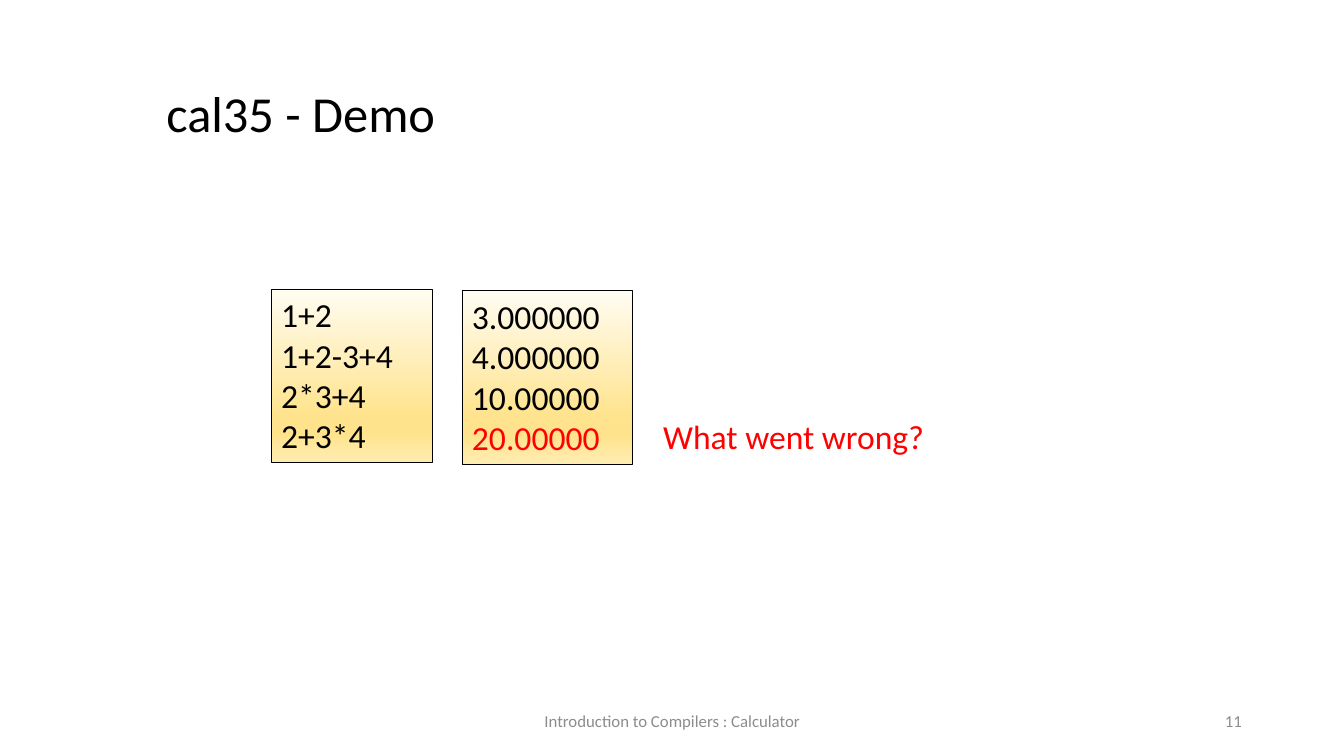
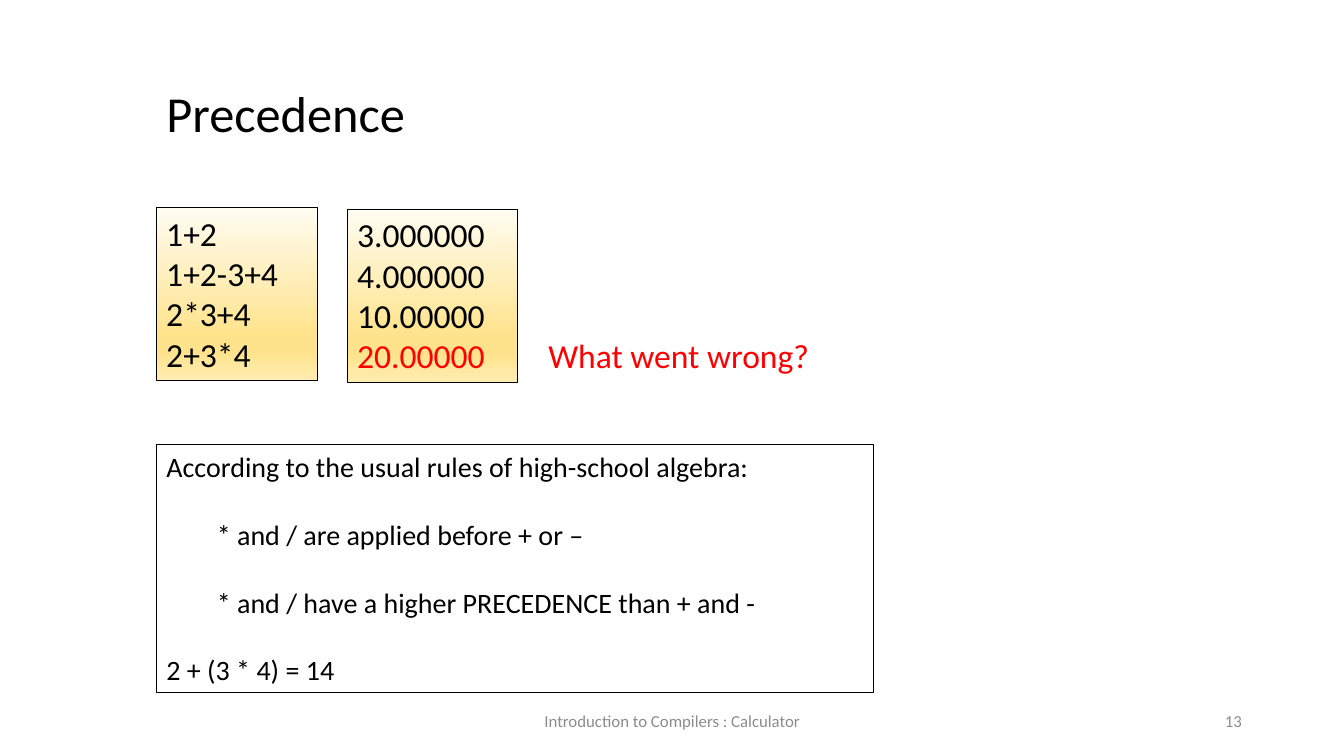
import pptx
import pptx.dml.color
import pptx.enum.shapes
import pptx.enum.text
import pptx.oxml
import pptx.oxml.ns
import pptx.util

BLACK, RED, GREY = "000000", "FF0000", "8C8C8C"
AMBER_STOPS = [(0, "FFFCF2"), (74, "FFE38C"), (83, "FFE38C"), (100, "FFECB2")]
ALIGN = pptx.enum.text.PP_ALIGN
ANCHOR = pptx.enum.text.MSO_ANCHOR

deck = pptx.Presentation()
deck.slide_width = pptx.util.Inches(13.33)
deck.slide_height = pptx.util.Inches(7.5)
# The grid has 100 columns and 100 rows.
COLUMN, ROW = deck.slide_width / 100, deck.slide_height / 100
MARGIN = 11.63


def rgb(code):
    """Turn a hex string into a colour."""
    return pptx.dml.color.RGBColor.from_string(code)


def write(shape, cells, text, size, color=BLACK, align=ALIGN.LEFT, anchor=ANCHOR.TOP):
    """Place a shape on the grid and fill it with formatted paragraphs."""
    left, top, width, height = cells
    shape.left, shape.width = int(left * COLUMN), int(width * COLUMN)
    shape.top, shape.height = int(top * ROW), int(height * ROW)
    frame = shape.text_frame
    frame.text = text
    frame.word_wrap = True
    frame.auto_size = pptx.enum.text.MSO_AUTO_SIZE.NONE
    frame.vertical_anchor = anchor
    for paragraph in frame.paragraphs:
        paragraph.alignment = align
        for run in paragraph.runs:
            run.font.name = "Calibri"
            run.font.size = pptx.util.Pt(size)
            run.font.color.rgb = rgb(color)
    return frame.paragraphs


EXPRESSIONS = "1+2\n1+2-3+4\n2*3+4\n2+3*4"
RESULTS = "3.000000\n4.000000\n10.00000\n20.00000"
RULES = [
    ("According to the usual rules of high-school algebra:", 0),
    ("* and / are applied before + or –", 0.5),
    ("* and / have a higher PRECEDENCE than + and -", 0.5),
    ("2 + (3 * 4) = 14", 0),
]
# Layout, title, page number, left and top of the demo, rules
PAGES = [
    ("Title Only", "cal35 - Demo", "11", 20.18, 38.27, []),
    ("Title and Content", "Precedence", "13", MARGIN, 27.47, RULES),
]

for layout, title, number, demo_left, demo_top, rules in PAGES:
    slide = deck.slides.add_slide(deck.slide_layouts.get_by_name(layout))
    shapes = slide.shapes
    write(shapes.title, (MARGIN, 10.13, 80.48, 9.47), title, 36)

    for cells, footer, align in [
        ((33.15, 92.67, 33.75, 5.33), "Introduction to Compilers : Calculator", ALIGN.CENTER),
        ((70.65, 92.67, 22.5, 5.33), number, ALIGN.RIGHT),
    ]:
        write(shapes.add_textbox(0, 0, 0, 0), cells, footer, 12, GREY, align, ANCHOR.MIDDLE)

    if rules:
        algebra = slide.placeholders[1]
        algebra.line.color.rgb = rgb(BLACK)
        algebra.line.width = pptx.util.Pt(0.75)
        lines = write(algebra, (MARGIN, 58.8, 53.4, 32.8),
                      "\n".join(rule for rule, indent in rules), 20)
        for position, (line, (rule, indent)) in enumerate(zip(lines, rules)):
            line.space_before = pptx.util.Pt(24.4 if position else 0)
            properties = line._p.get_or_add_pPr()
            properties.set("marL", str(pptx.util.Inches(indent)))
            properties.set("indent", "0")
            pptx.oxml.ns.qn("a:buNone")
            properties.append(pptx.oxml.parse_xml(
                '<a:buNone xmlns:a="http://schemas.openxmlformats.org/drawingml/2006/main"/>'))

    for shift, drop, width, listing in [(0, 0, 12, EXPRESSIONS), (14.2, 0.2, 12.68, RESULTS)]:
        panel = shapes.add_shape(pptx.enum.shapes.MSO_SHAPE.RECTANGLE, 0, 0, 0, 0)
        panel.shadow.inherit = False
        panel.line.color.rgb = rgb(BLACK)
        panel.line.width = pptx.util.Pt(0.75)
        panel.fill.gradient()
        panel.fill.gradient_angle = 270
        stops = panel._element.spPr.find(".//" + pptx.oxml.ns.qn("a:gsLst"))
        stops.clear()
        for percent, color in AMBER_STOPS:
            stops.append(pptx.oxml.parse_xml(
                '<a:gs xmlns:a="http://schemas.openxmlformats.org/drawingml/2006/main" '
                f'pos="{percent * 1000}"><a:srgbClr val="{color}"/></a:gs>'))
        rows = write(panel, (demo_left + shift, demo_top + drop, width, 22.93), listing, 24)
    rows[-1].runs[0].font.color.rgb = rgb(RED)

    write(shapes.add_textbox(0, 0, 0, 0), (demo_left + 28.43, demo_top + 16.13, 23.25, 6.67),
          "What went wrong?", 24, RED)

deck.save("out.pptx")
